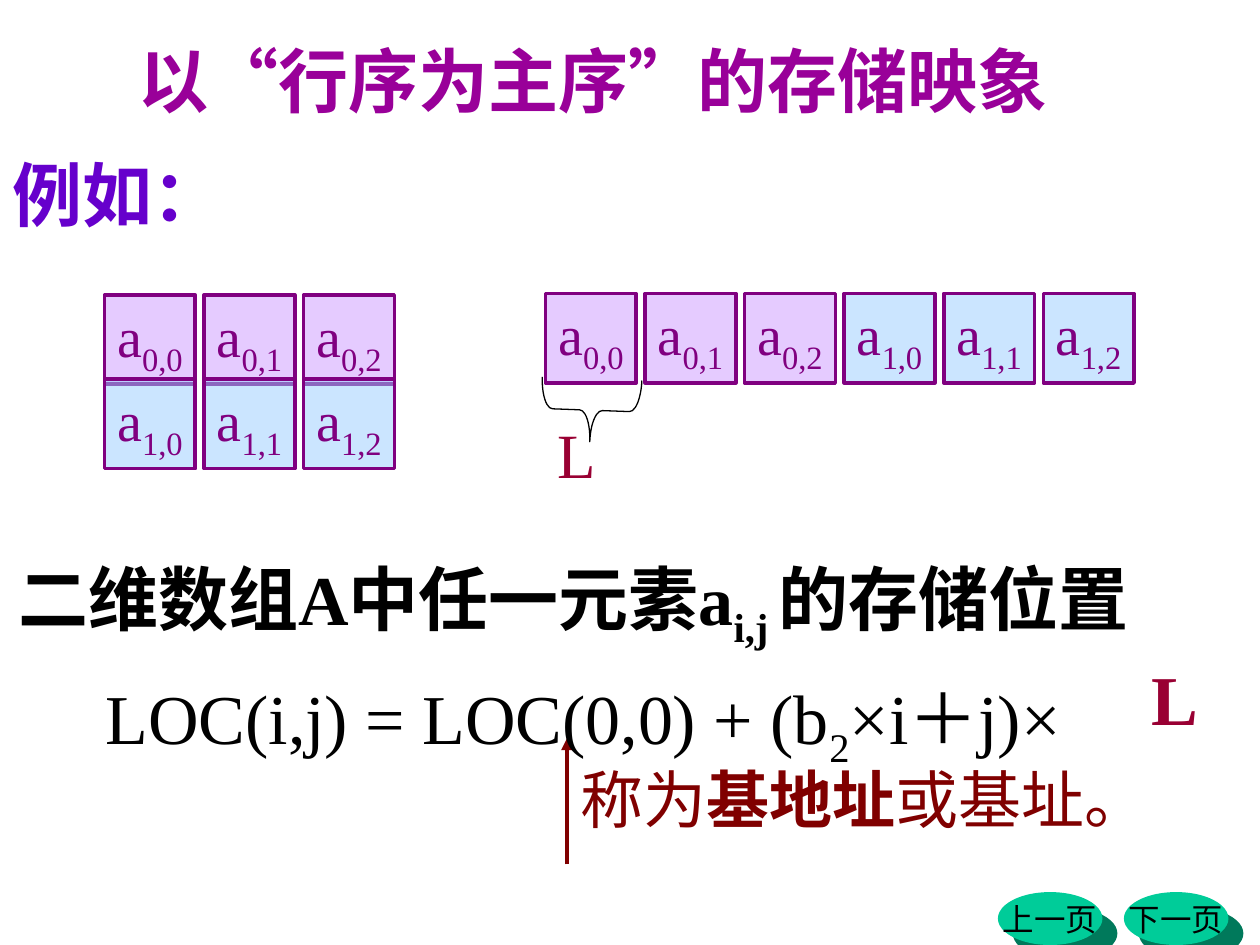
import pptx
import pptx.util
import pptx.dml.color
import pptx.enum.dml
import pptx.enum.lang
import pptx.enum.shapes
import pptx.enum.text
import pptx.oxml
import pptx.oxml.ns

FONT = "Times New Roman"
ROW_FILLS = ["CC99FF", "99CCFF"]
PURPLE = "800080"
COLUMNS = 3
CELL_W, CELL_H, PITCH_X, PITCH_Y = 0.72, 0.71, 0.79, 0.67
MATRIX_AT = (0.83, 2.34)
MEMORY_AT = (4.33, 2.33)
BUTTONS = ["上一页", "下一页"]

TITLE = [[("以“行序为主序”的存储映象", "b")]]
EXAMPLE = [[("例如：", "b")]]
BASE_ADDRESS = [[("称为", ""), ("基地址", "b"), ("或基址。", "")]]
LOCATION = [
    [("二维数组A中任一元素a", "b"), ("i,j ", "b_"), ("的存储位置", "b")],
    [("LOC(i,j) = LOC(0,0) + (b", ""), ("2", "_"), ("×i＋j)×", "")],
]

SHAPE = pptx.enum.shapes.MSO_SHAPE
ALIGN = pptx.enum.text.PP_ALIGN
ANCHOR = pptx.enum.text.MSO_ANCHOR
AUTO = pptx.enum.text.MSO_AUTO_SIZE
inch = pptx.util.Inches

prs = pptx.Presentation()
prs.slide_width, prs.slide_height = inch(10), inch(7.5)
s = prs.slides.add_slide(prs.slide_layouts[5])


def rgb(color):
    return pptx.dml.color.RGBColor.from_string(color)


def xml(tag, body="", attrs=""):
    ns = pptx.oxml.ns.nsdecls("a")
    return pptx.oxml.parse_xml(f"<a:{tag} {ns} {attrs}>{body}</a:{tag}>")


def write(sp, paragraphs, size, color, align=ALIGN.LEFT, anchor=ANCHOR.TOP,
          wrap=True, grow=True, spacing=None):
    tf = sp.text_frame
    tf.word_wrap = wrap
    tf.vertical_anchor = anchor
    tf.auto_size = AUTO.SHAPE_TO_FIT_TEXT if grow else AUTO.NONE
    for i, runs in enumerate(paragraphs):
        p = tf.add_paragraph() if i else tf.paragraphs[0]
        p.alignment = align
        if spacing:
            p.line_spacing = spacing
        for text, style in runs:
            r = p.add_run()
            r.text = text
            r.font.name = FONT
            r.font.size = pptx.util.Pt(size)
            r.font.bold = "b" in style
            r.font.color.rgb = rgb(color)
            r.font.language_id = pptx.enum.lang.MSO_LANGUAGE_ID.SIMPLIFIED_CHINESE
            if "_" in style:
                r.font._element.set("baseline", "-25000")


def add_text(x, y, w, h, paragraphs, size, color, **fmt):
    sp = s.shapes.add_textbox(inch(x), inch(y), inch(w), inch(h))
    write(sp, paragraphs, size, color, **fmt)
    return sp


def add_shape(kind, x, y, w, h, fill=None, line=None, width=1):
    sp = s.shapes.add_shape(kind, inch(x), inch(y), inch(w), inch(h))
    sp.shadow.inherit = False
    if fill:
        sp.fill.solid()
        sp.fill.fore_color.rgb = rgb(fill)
    else:
        sp.fill.background()
    if line:
        sp.line.color.rgb = rgb(line)
        sp.line.width = pptx.util.Pt(width)
    else:
        sp.line.fill.background()
    return sp


def add_cell(x, y, row, col):
    sp = add_shape(SHAPE.RECTANGLE, x, y, CELL_W, CELL_H, ROW_FILLS[row], PURPLE, 2)
    color = sp.fill._xPr.find(".//" + pptx.oxml.ns.qn("a:srgbClr"))
    color.append(xml("alpha", attrs='val="50000"'))
    write(sp, [[("a", ""), (f"{row},{col}", "_")]], 32, PURPLE,
          align=ALIGN.CENTER, wrap=False)


def add_button(x, label):
    sp = add_shape(SHAPE.OVAL, x, 7.08, 0.83, 0.42, "00CC99")
    effects = sp._element.spPr.find(pptx.oxml.ns.qn("a:effectLst"))
    effects.append(xml("outerShdw", '<a:srgbClr val="00795B"/>',
                       'dist="153670" dir="2700000" algn="ctr" rotWithShape="0"'))
    write(sp, [[(label, "")]], 18, "000000", align=ALIGN.CENTER,
          anchor=ANCHOR.MIDDLE, wrap=False, grow=False)


title = s.shapes.title
title.left, title.top, title.width, title.height = map(inch, (1, 0.25, 7.5, 0.77))
write(title, TITLE, 40, "990099")

for i, label in enumerate(BUTTONS):
    add_button(7.92 + i, label)

add_text(0, 1.15, 2.7, 0.77, EXAMPLE, 40, "6600CC")
add_text(4.51, 5.99, 4.7, 0.7, BASE_ADDRESS, 36, "800000")

arrow = s.shapes.add_connector(pptx.enum.shapes.MSO_CONNECTOR.STRAIGHT,
                               inch(4.5), inch(6.86), inch(4.5), inch(5.86))
arrow.line.color.rgb = rgb("800000")
arrow.line.width = pptx.util.Pt(2.25)
arrow.line._get_or_add_ln().append(xml("tailEnd", attrs='type="triangle"'))
arrow._element.spPr.append(xml("effectLst"))

location = add_text(0.05, 4.17, 9.59, 2, LOCATION, 40, "000000", spacing=1.25)
formula = location.text_frame.paragraphs[1]
formula._p.get_or_add_pPr().set("marL", str(inch(0.69)))

for row in range(len(ROW_FILLS)):
    for col in range(COLUMNS):
        add_cell(MATRIX_AT[0] + col * PITCH_X, MATRIX_AT[1] + row * PITCH_Y, row, col)
        add_cell(MEMORY_AT[0] + (row * COLUMNS + col) * PITCH_X, MEMORY_AT[1], row, col)

brace = add_shape(SHAPE.LEFT_BRACE, 4.44, 2.86, 0.5, 0.79, line="000000", width=0.75)
brace.rotation = 272.1
brace.adjustments[0] = 0.18

add_text(4.33, 3.25, 0.64, 0.7, [[("L", "")]], 36, "990033")
add_text(9.04, 5.15, 0.7, 0.77, [[("L", "b")]], 40, "990033")

prs.save("out.pptx")
